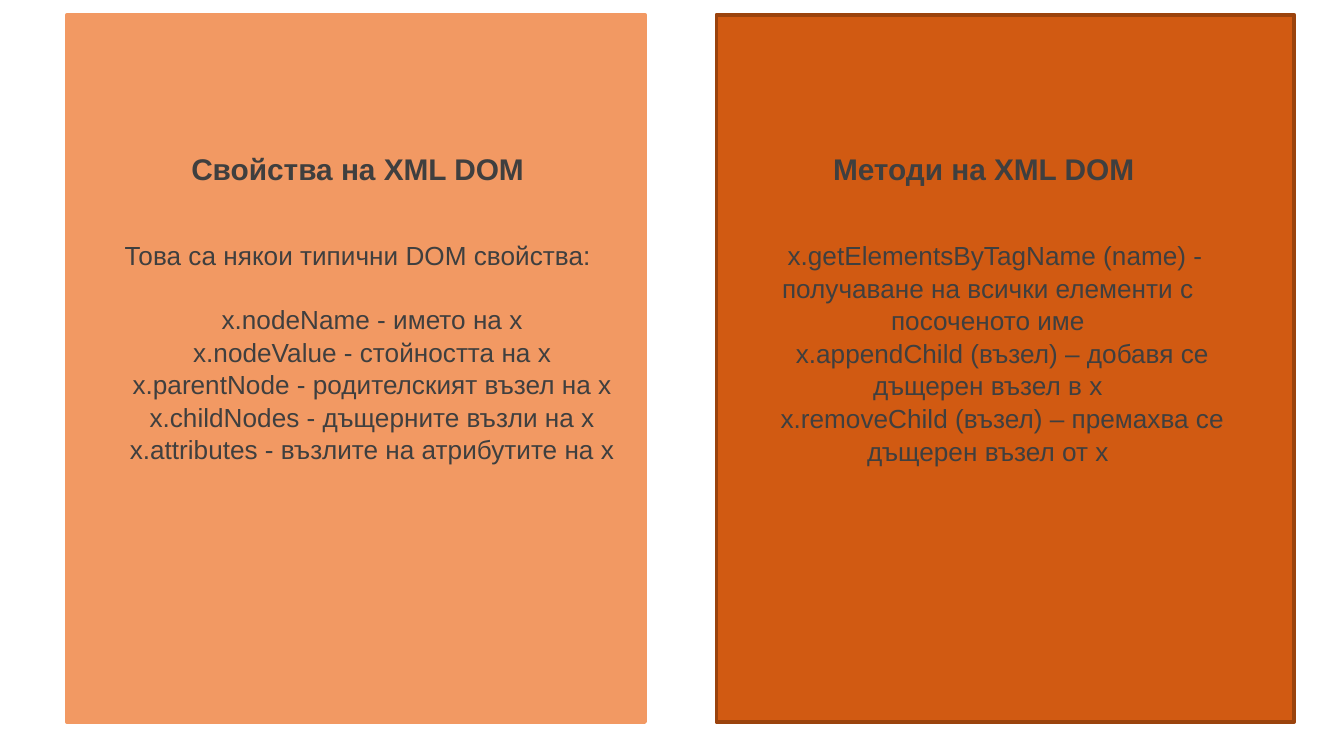
"""Build a slide comparing the properties and methods of the XML DOM."""
from lxml.etree import SubElement
from pptx import Presentation
from pptx.dml.color import RGBColor
from pptx.enum.shapes import MSO_SHAPE
from pptx.enum.text import MSO_ANCHOR, MSO_AUTO_SIZE, PP_ALIGN
from pptx.oxml.ns import qn
from pptx.util import Cm, Pt

PEACH = RGBColor(0xF2, 0x99, 0x63)
ORANGE = RGBColor(0xD1, 0x5A, 0x12)
BROWN = RGBColor(0x9B, 0x43, 0x0D)
GREY = RGBColor(0x3F, 0x3F, 0x3F)
FONT = "Arial"
COMPARISON_LAYOUT = 4
INDENT = 0.55

PROPERTIES = [
    ("Това са някои типични DOM свойства:", 0, 0),
    ("x.nodeName - името на x", INDENT, 16.8),
    ("x.nodeValue - стойността на x", INDENT, 0),
    ("x.parentNode - родителският възел на x", INDENT, 0),
    ("x.childNodes - дъщерните възли на x", INDENT, 0),
    ("x.attributes - възлите на атрибутите на x", INDENT, 0),
]
METHODS = [
    ("x.getElementsByTagName (name) - получаване на всички елементи "
     "с посоченото име", INDENT / 2, 0),
    ("x.appendChild (възел) – добавя се дъщерен възел в x", INDENT, 0),
    ("x.removeChild (възел) – премахва се дъщерен възел от x", INDENT, 0),
]


def add_panel(s, left, fill, line):
    """Add a coloured panel behind the text."""
    sp = s.shapes.add_shape(MSO_SHAPE.RECTANGLE, Cm(left), Cm(0.28), Cm(10.92), Cm(13.36))
    sp.shadow.inherit = False
    sp.fill.solid()
    sp.fill.fore_color.rgb = fill
    sp.line.color.rgb = line
    sp.line.width = Pt(2)
    s.shapes.element.insert(2, sp.element)


def fill_text(sp, left, top, height, lines, size, bold=False):
    """Place a placeholder and write its centred, unbulleted lines."""
    sp.left, sp.top, sp.width, sp.height = Cm(left), Cm(top), Cm(10.26), Cm(height)
    tf = sp.text_frame
    tf.word_wrap = True
    tf.auto_size = MSO_AUTO_SIZE.NONE
    tf.vertical_anchor = MSO_ANCHOR.TOP
    for i, (text, indent, before) in enumerate(lines):
        p = tf.add_paragraph() if i else tf.paragraphs[0]
        p.alignment = PP_ALIGN.CENTER
        p.line_spacing = 1.04
        p.space_before = Pt(before)
        pPr = p._p.get_or_add_pPr()
        pPr.set("marL", "0")
        pPr.set("indent", str(Cm(indent)))
        SubElement(pPr, qn("a:buNone"))
        r = p.add_run()
        r.text = text
        r.font.name = FONT
        r.font.size = Pt(size)
        r.font.bold = bold
        r.font.color.rgb = GREY


def add_column(s, idx, text_left, heading, lines):
    """Fill the heading and list placeholders of one column."""
    holders = {sp.placeholder_format.idx: sp for sp in s.placeholders}
    fill_text(holders[idx], text_left, 2.7, 2.13, [(heading, 0, 0)], 16, True)
    fill_text(holders[idx + 1], text_left, 4.37, 9.3, lines, 14)


def main():
    """Build and save the slide."""
    prs = Presentation()
    prs.slide_width, prs.slide_height = Cm(25.4), Cm(14.28)
    s = prs.slides.add_slide(prs.slide_layouts[COMPARISON_LAYOUT])
    title = s.shapes.title.element
    title.getparent().remove(title)
    add_panel(s, 13.54, ORANGE, BROWN)
    add_panel(s, 1.27, PEACH, PEACH)
    add_column(s, 1, 1.63, "Свойства на XML DOM", PROPERTIES)
    add_column(s, 3, 13.54, "Методи на XML DOM ", METHODS)
    prs.save("out.pptx")


if __name__ == "__main__":
    main()
